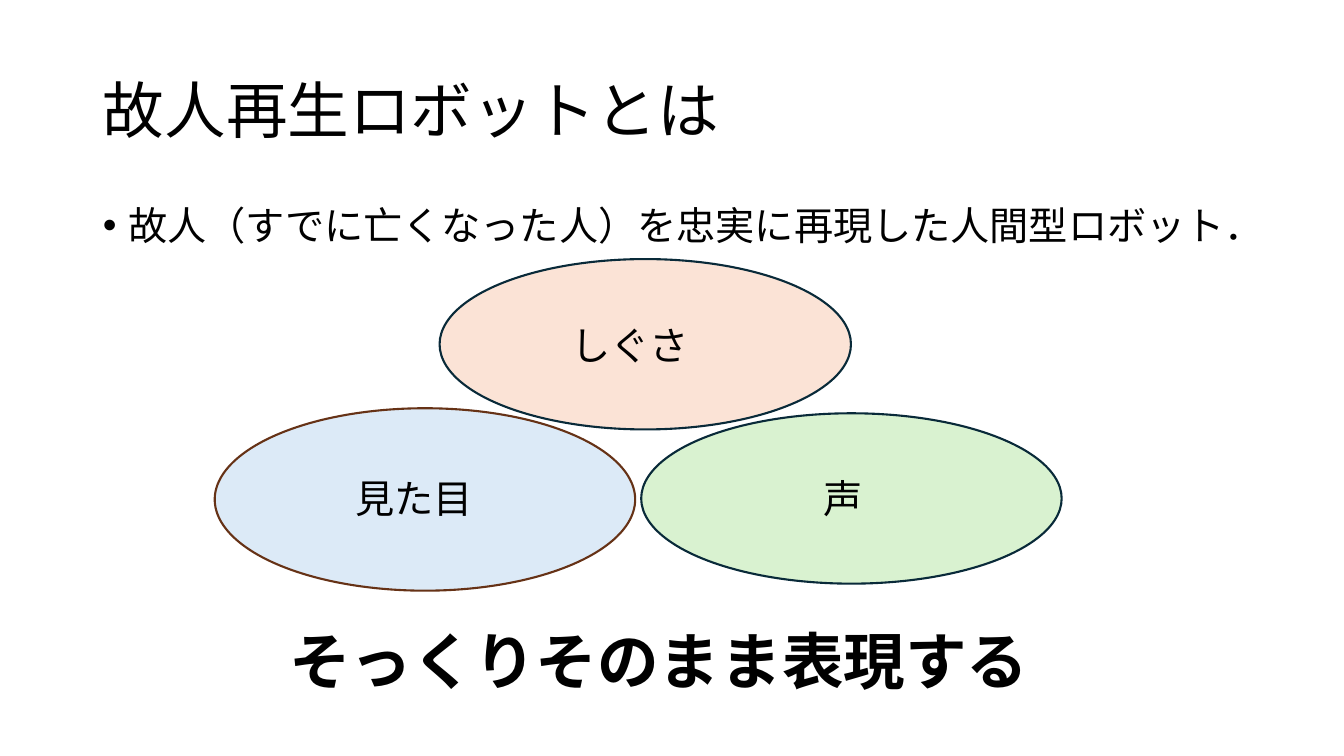
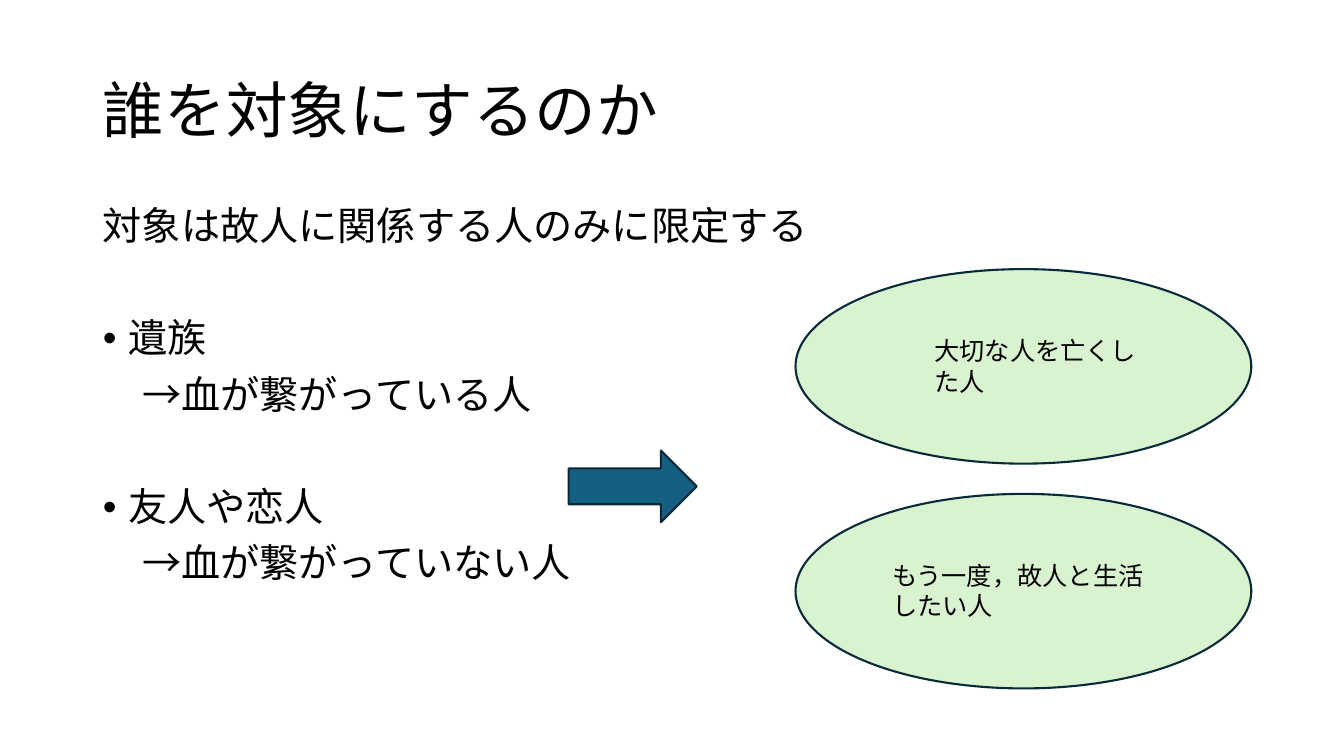
from dataclasses import dataclass

from lxml import etree
from pptx import Presentation
from pptx.dml.color import RGBColor
from pptx.enum.shapes import MSO_SHAPE
from pptx.enum.text import MSO_ANCHOR, MSO_AUTO_SIZE, PP_ALIGN
from pptx.oxml.ns import qn
from pptx.util import Inches, Pt

ELLIPSE, ARROW = MSO_SHAPE.OVAL, MSO_SHAPE.RIGHT_ARROW
LEFT = PP_ALIGN.LEFT
TOP, MIDDLE = MSO_ANCHOR.TOP, MSO_ANCHOR.MIDDLE
NO_FIT = MSO_AUTO_SIZE.NONE

FONT = "Noto Sans CJK JP"
COLORS = {
    "text": "000000",
    "navy": "092A39",
    "brown": "663216",
    "teal": "156082",
    "blue": "DCEAF7",
    "peach": "FBE3D6",
    "green": "D9F2D0",
}
TITLE_AT = (0.92, 0.4, 11.5, 1.45)
BODY_AT = (0.92, 2, 11.5, 4.76)

Box = tuple[float, float, float, float]


@dataclass
class Figure:
    kind: int
    at: Box
    fill: str
    line: str = "navy"


@dataclass
class Label:
    text: str
    at: Box
    size: float = 28
    bold: bool = False


@dataclass
class Item:
    text: str
    bullet: bool = False
    indent: float = 0
    before: float = 10


def rgb(name: str) -> RGBColor:
    return RGBColor.from_string(COLORS[name])


def write(p, text: str, *, size: float = 28, bold: bool = False, bullet: bool = False,
          indent: float = 0, before: float = 0, spacing: float = 1) -> None:
    """Fill one paragraph with formatted text."""
    pPr = p._p.get_or_add_pPr()
    pPr.set("marL", str(Inches(0.25 if bullet else indent)))
    pPr.set("indent", str(Inches(-0.25 if bullet else 0)))
    if bullet:
        etree.SubElement(pPr, qn("a:buFont")).set("typeface", "Arial")
        etree.SubElement(pPr, qn("a:buChar")).set("char", "•")
    else:
        etree.SubElement(pPr, qn("a:buNone"))
    p.alignment = LEFT
    p.line_spacing = spacing
    p.space_before = Pt(before)
    r = p.add_run()
    r.text = text
    r.font.size = Pt(size)
    r.font.bold = bold
    r.font.color.rgb = rgb("text")
    r.font.name = FONT
    etree.SubElement(r.font._element, qn("a:ea")).set("typeface", FONT)


def place(sp, at: Box, anchor: int):
    """Move a placeholder and return its text frame."""
    sp.left, sp.top, sp.width, sp.height = map(Inches, at)
    tf = sp.text_frame
    tf.word_wrap = True
    tf.auto_size = NO_FIT
    tf.vertical_anchor = anchor
    return tf


def add_figure(s, fig: Figure) -> None:
    sp = s.shapes.add_shape(fig.kind, *map(Inches, fig.at))
    sp.shadow.inherit = False
    sp.fill.solid()
    sp.fill.fore_color.rgb = rgb(fig.fill)
    sp.line.color.rgb = rgb(fig.line)
    sp.line.width = Pt(1.5)


def add_label(s, label: Label) -> None:
    tf = s.shapes.add_textbox(*map(Inches, label.at)).text_frame
    tf.word_wrap = True
    write(tf.paragraphs[0], label.text, size=label.size, bold=label.bold)


def add_slide(prs, title: str, items: list[Item], figures: list[Figure],
              labels: list[Label]) -> None:
    s = prs.slides.add_slide(prs.slide_layouts[1])
    tf = place(s.shapes.title, TITLE_AT, MIDDLE)
    write(tf.paragraphs[0], title, size=44, spacing=0.9)
    tf = place(s.placeholders[1], BODY_AT, TOP)
    for i, item in enumerate(items):
        p = tf.add_paragraph() if i else tf.paragraphs[0]
        write(p, item.text, bullet=item.bullet, indent=item.indent,
              before=item.before if i else 0, spacing=0.9)
    for fig in figures:
        add_figure(s, fig)
    for label in labels:
        add_label(s, label)


def main() -> None:
    prs = Presentation()
    prs.slide_width, prs.slide_height = Inches(13.33), Inches(7.5)

    # What the robot is
    add_slide(
        prs, "故人再生ロボットとは",
        [Item("故人（すでに亡くなった人）を忠実に再現した人間型ロボット．", bullet=True)],
        [Figure(ELLIPSE, (2.13, 4.05, 4.17, 1.81), "blue", "brown"),
         Figure(ELLIPSE, (4.36, 2.57, 4.08, 1.69), "peach"),
         Figure(ELLIPSE, (6.36, 4.1, 4.17, 1.69), "green")],
        [Label("見た目", (3.43, 4.66, 2.97, 0.57)),
         Label("しぐさ", (5.57, 3.14, 1.47, 0.57)),
         Label("声", (8.07, 4.66, 2.58, 0.57)),
         Label("そっくりそのまま表現する", (2.77, 6.13, 8.33, 0.84), size=44, bold=True)],
    )

    # Who it is for
    add_slide(
        prs, "誰を対象にするのか",
        [Item("対象は故人に関係する人のみに限定する"),
         Item("遺族", bullet=True, before=50),
         Item("→血が繋がっている人", indent=0.39),
         Item("友人や恋人", bullet=True, before=50),
         Item("→血が繋がっていない人", indent=0.39)],
        [Figure(ARROW, (5.64, 4.47, 1.27, 0.71), "teal"),
         *(Figure(ELLIPSE, (7.89, top, 4.52, 1.93), "green") for top in (2.67, 4.9))],
        [Label("大切な人を亡くした人", (9.17, 3.28, 2.2, 0.71), size=18),
         Label("もう一度，故人と生活したい人", (8.75, 5.51, 2.81, 0.71), size=18)],
    )
    prs.save("out.pptx")


if __name__ == "__main__":
    main()
